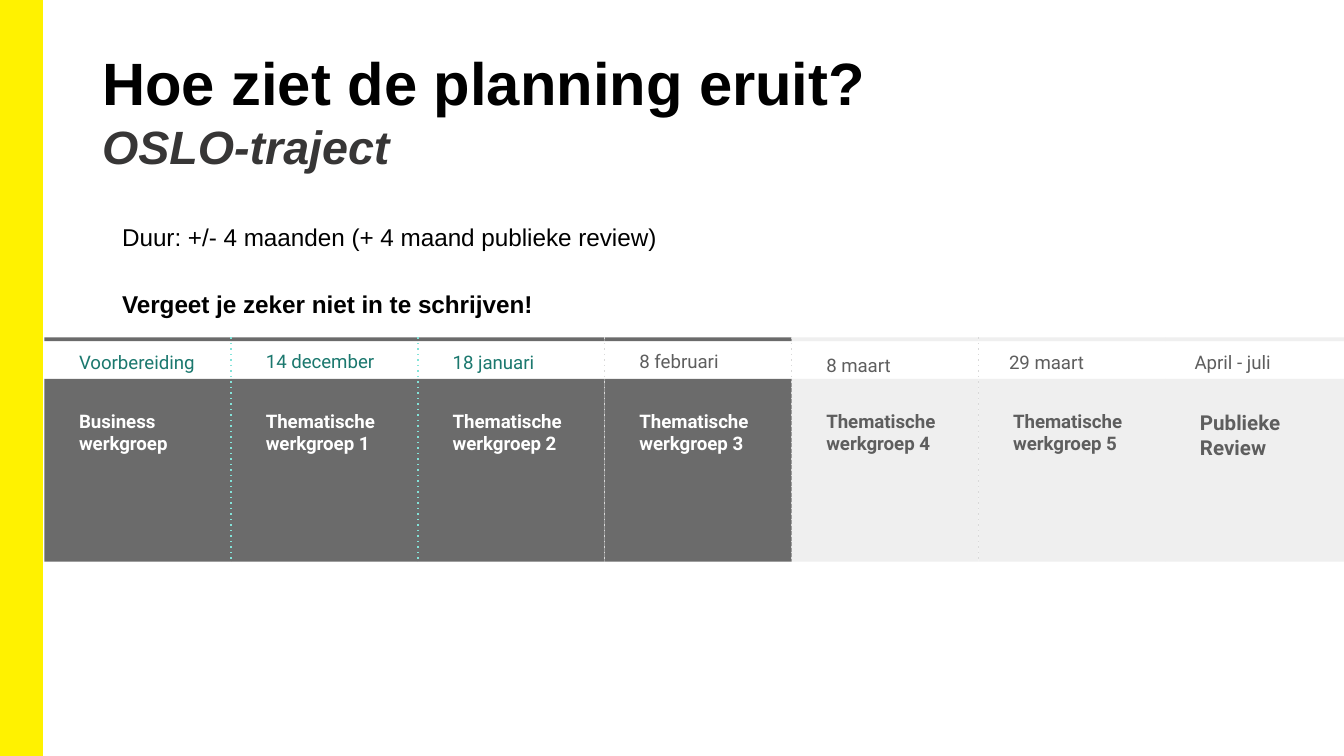
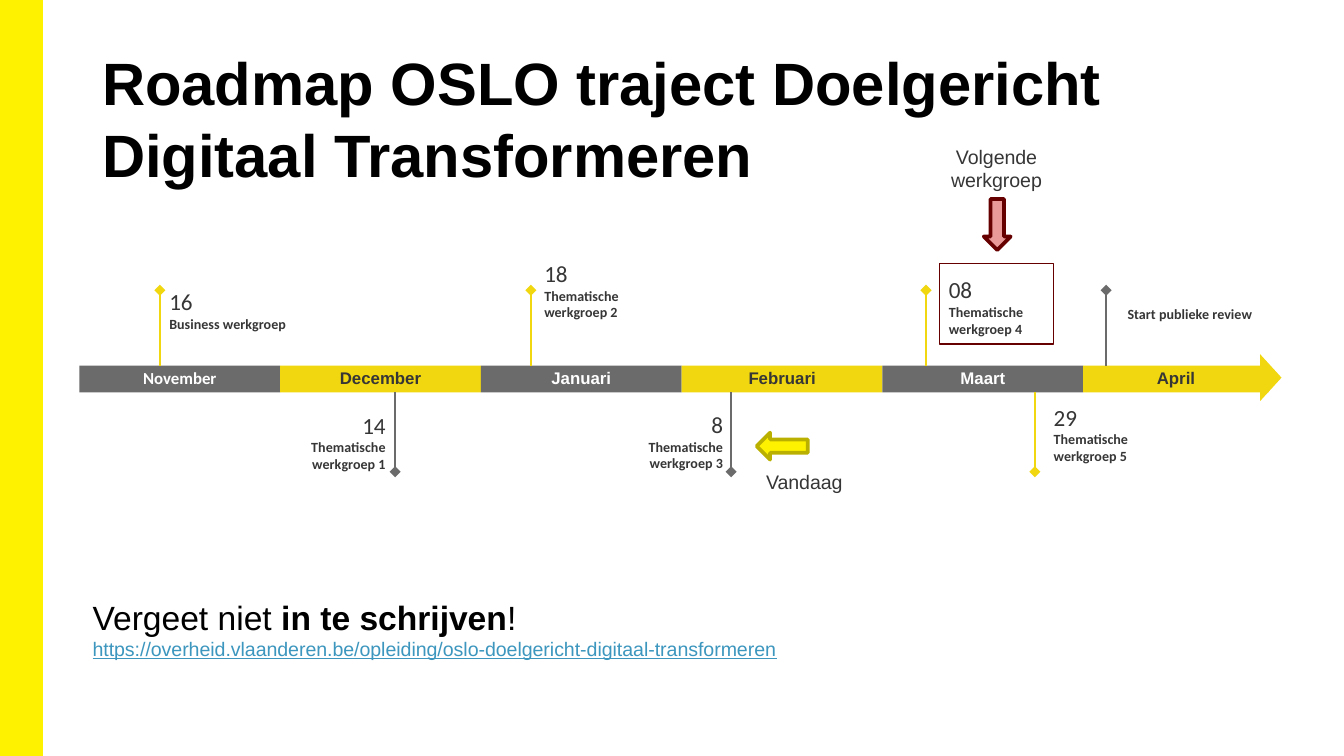
from dataclasses import dataclass
from typing import Any, NamedTuple, Optional

import pptx
import pptx.dml.color
import pptx.enum.shapes
import pptx.enum.text
import pptx.oxml.ns
import pptx.util
from lxml import etree

Inches = pptx.util.Inches
Color = pptx.dml.color.RGBColor
Shape = pptx.enum.shapes.MSO_SHAPE
Align = pptx.enum.text.PP_ALIGN
Anchor = pptx.enum.text.MSO_ANCHOR

BLACK = Color.from_string("000000")
WHITE = Color.from_string("FFFFFF")
INK = Color.from_string("373636")
TEXT_GREY = Color.from_string("5E5E5E")
DARK_GREY = Color.from_string("6B6B6B")
LIGHT_GREY = Color.from_string("EFEFEF")
DOT_GREY = Color.from_string("D9D9D9")
DOT_TEAL = Color.from_string("83E3D9")
TEAL = Color.from_string("1B786E")
YELLOW = Color.from_string("FFF200")
OLIVE = Color.from_string("BAB000")
GOLD = Color.from_string("F0D70F")
PINK = Color.from_string("EA9999")
DARK_RED = Color.from_string("660000")
LINK_BLUE = Color.from_string("3C96BE")

SLIDE_WIDTH = 10
SLIDE_HEIGHT = SLIDE_WIDTH * 9 / 16


class Box(NamedTuple):
    left: float
    top: float
    width: float
    height: float


@dataclass(frozen=True)
class Span:
    text: str
    size: float
    color: Color = INK
    font: str = "Arial"
    bold: bool = False
    italic: bool = False
    underline: bool = False


@dataclass(frozen=True)
class Para:
    spans: tuple[Span, ...]
    align: Align = Align.LEFT
    spacing: float = 1.0
    before: float = 0
    after: float = 0


@dataclass(frozen=True)
class Phase:
    date: str
    task: str
    done: bool
    date_color: Color = TEXT_GREY
    divider: Optional[Color] = None
    date_height: float = 0.15
    date_offset: float = 0.16
    task_size: float = 10


@dataclass(frozen=True)
class Month:
    name: str
    dark: bool
    font: str = "Arial"


@dataclass(frozen=True)
class Event:
    day: str
    label: str
    box: Box
    pin: float
    color: Color
    above: bool
    align: Align = Align.LEFT
    anchor: Anchor = Anchor.TOP


PHASES = (
    Phase("Voorbereiding", "Business werkgroep", True, TEAL, DOT_TEAL),
    Phase("14 december", "Thematische werkgroep 1", True, TEAL, DOT_TEAL, 0.13),
    Phase("18 januari", "Thematische werkgroep 2", True, TEAL, DOT_GREY),
    Phase("8 februari", "Thematische werkgroep 3", True, divider=DOT_GREY, date_height=0.13),
    Phase("8 maart", "Thematische werkgroep 4", False, divider=DOT_GREY, date_height=0.2),
    Phase("29 maart", "Thematische werkgroep 5", False, date_offset=0.13),
    Phase("April - juli", "Publieke Review", False, date_offset=0.12, task_size=11),
)
PHASE_LEFT, PHASE_WIDTH = 0.33, 1.39
PHASE_TOP, PHASE_BODY, PHASE_BOTTOM = 2.51, 2.82, 4.18

MONTHS = (
    Month("November", True, "Calibri"),
    Month("December", False),
    Month("Januari", True),
    Month("Februari", False),
    Month("Maart", True),
    Month("April", False),
)
BAR_LEFT, LAST_MONTH_LEFT, BAR_RIGHT = 0.59, 8.06, 9.44
BAR_TOP, BAR_HEIGHT = 2.72, 0.2
MONTH_WIDTH = (LAST_MONTH_LEFT - BAR_LEFT) / (len(MONTHS) - 1)
PIN_TOP, PIN_BOTTOM = 2.16, 3.51

EVENTS = (
    Event("16", "Business werkgroep", Box(1.26, 1.95, 1, 0.52), 1.19, GOLD, True,
          anchor=Anchor.BOTTOM),
    Event("14", "Thematische werkgroep 1", Box(1.87, 3.06, 1, 0.66), 2.94, DARK_GREY, False,
          Align.RIGHT),
    Event("18", "Thematische werkgroep 2", Box(4.05, 1.93, 1, 0.66), 3.95, GOLD, True),
    Event("8", "Thematische werkgroep 3", Box(4.43, 3.14, 0.95, 0.37), 5.44, DARK_GREY, False,
          Align.RIGHT, Anchor.BOTTOM),
    Event("08", "Thematische werkgroep 4", Box(7.06, 2.05, 1, 0.42), 6.89, GOLD, True),
    Event("29", "Thematische werkgroep 5", Box(7.84, 3, 1, 0.42), 7.7, GOLD, False),
    Event("", "Start publieke review", Box(8.39, 2.27, 1, 0.2), 8.23, DARK_GREY, True),
)


def lengths(box: Box) -> list[pptx.util.Length]:
    return [Inches(value) for value in box]


def write(frame: Any, paras: list[Para], insets: Box, anchor: Anchor = Anchor.TOP) -> None:
    """Fill a text frame; insets run left, top, right, bottom."""
    frame.word_wrap = True
    frame.auto_size = pptx.enum.text.MSO_AUTO_SIZE.NONE
    frame.vertical_anchor = anchor
    (frame.margin_left, frame.margin_top,
     frame.margin_right, frame.margin_bottom) = lengths(insets)
    for index, para in enumerate(paras):
        target = frame.add_paragraph() if index else frame.paragraphs[0]
        target.alignment = para.align
        target.line_spacing = para.spacing
        target.space_before = pptx.util.Pt(para.before)
        target.space_after = pptx.util.Pt(para.after)
        for span in para.spans:
            run = target.add_run()
            run.text = span.text
            run.font.name = span.font
            run.font.size = pptx.util.Pt(span.size)
            run.font.color.rgb = span.color
            run.font.bold = span.bold
            run.font.italic = span.italic
            run.font.underline = span.underline


def add_text(page: Any, box: Box, paras: list[Para], inset: float = 0,
             anchor: Anchor = Anchor.TOP) -> None:
    write(page.shapes.add_textbox(*lengths(box)).text_frame, paras, Box(*[inset] * 4), anchor)


def add_shape(page: Any, kind: Shape, box: Box, fill: Optional[Color],
              line: Optional[Color] = None, weight: float = 1, rotation: float = 0) -> Any:
    shape = page.shapes.add_shape(kind, *lengths(box))
    shape.shadow.inherit = False
    shape.rotation = rotation
    if fill is None:
        shape.fill.background()
    else:
        shape.fill.solid()
        shape.fill.fore_color.rgb = fill
    if line is None:
        shape.line.fill.background()
    else:
        shape.line.color.rgb = line
        shape.line.width = pptx.util.Pt(weight)
    return shape


def add_vertical(page: Any, x: float, top: float, bottom: float, color: Color,
                 weight: float, **ends: str) -> None:
    """Draw a vertical line; ends maps prstDash, headEnd or tailEnd to its preset."""
    connector = page.shapes.add_connector(
        pptx.enum.shapes.MSO_CONNECTOR.STRAIGHT, *lengths(Box(x, top, x, bottom)))
    connector.line.color.rgb = color
    connector.line.width = pptx.util.Pt(weight)
    properties = connector.element.spPr
    outline = properties.find(pptx.oxml.ns.qn("a:ln"))
    for tag, preset in ends.items():
        element = etree.SubElement(outline, pptx.oxml.ns.qn(f"a:{tag}"))
        element.set("val" if tag == "prstDash" else "type", preset)
    etree.SubElement(properties, pptx.oxml.ns.qn("a:effectLst"))


def add_page(deck: Any, title: str, subtitle: str = "") -> Any:
    page = deck.slides.add_slide(deck.slide_layouts.get_by_name("Title Only"))
    add_shape(page, Shape.RECTANGLE, Box(0, 0, 0.31, SLIDE_HEIGHT), YELLOW, YELLOW)
    holder = page.shapes.title
    holder.left, holder.top, holder.width, holder.height = lengths(Box(0.69, 0.3, 8.62, 0.81))
    paras = [Para((Span(title, 32, BLACK, bold=True),))]
    if subtitle:
        paras.append(Para((Span(subtitle, 25, bold=True, italic=True),)))
    write(holder.text_frame, paras, Box(0.07, 0.04, 0.07, 0.04))
    return page


def add_phase(page: Any, index: int, phase: Phase) -> None:
    left = PHASE_LEFT + index * PHASE_WIDTH
    right = min(left + PHASE_WIDTH, SLIDE_WIDTH)
    fill = DARK_GREY if phase.done else LIGHT_GREY
    for top, height in ((PHASE_BODY, PHASE_BOTTOM - PHASE_BODY), (PHASE_TOP, 0.03)):
        add_shape(page, Shape.RECTANGLE, Box(left, top, right - left, height), fill)
    if phase.divider:
        add_vertical(page, right, PHASE_TOP, PHASE_BOTTOM, phase.divider, 0.75, prstDash="dot")
    task = Span(phase.task, phase.task_size, WHITE if phase.done else TEXT_GREY, "Roboto", True)
    add_text(page, Box(left + 0.16, 2.95, 1.07, 0.4), [Para((task,))], 0.1)
    date = Span(phase.date, 10, phase.date_color, "Roboto")
    add_text(page, Box(left + phase.date_offset, PHASE_TOP, 1.07, phase.date_height),
             [Para((date,), spacing=1.15, after=16)], 0.1)


def add_month(page: Any, index: int, month: Month) -> None:
    left = BAR_LEFT + index * MONTH_WIDTH
    box = Box(left, BAR_TOP, min(MONTH_WIDTH, BAR_RIGHT - left), BAR_HEIGHT)
    bar = add_shape(page, Shape.RECTANGLE, box, DARK_GREY if month.dark else GOLD)
    name = Span(month.name, 9, WHITE if month.dark else INK, month.font, True)
    write(bar.text_frame, [Para((name,), Align.CENTER)],
          Box(0.04, 0.04, 0.04, 0.06), Anchor.MIDDLE)


def add_event(page: Any, event: Event) -> None:
    if event.above:
        add_vertical(page, event.pin, PIN_TOP, BAR_TOP, event.color, 1, headEnd="diamond")
    else:
        add_vertical(page, event.pin, BAR_TOP + BAR_HEIGHT, PIN_BOTTOM, event.color, 1,
                     tailEnd="diamond")
    spans = [Span(event.label, 7.5, font="Calibri", bold=True)]
    if event.day:
        spans.insert(0, Span(event.day, 12.4, font="Calibri"))
    add_text(page, event.box, [Para((span,), event.align) for span in spans],
             anchor=event.anchor)


def build_planning(deck: Any) -> None:
    page = add_page(deck, "Hoe ziet de planning eruit?", "OSLO-traject")
    duration = Span("Duur: +/- 4 maanden (+ 4 maand publieke review)", 13, BLACK)
    reminder = Span("Vergeet je zeker niet in te schrijven!", 13, BLACK, bold=True)
    add_text(page, Box(0.81, 1.52, 8.18, 0.92),
             [Para((duration,), spacing=1.15), Para((reminder,), spacing=1.15, before=18)], 0.1)
    # Right to left, so that each divider lies over its right neighbour
    for index, phase in reversed(list(enumerate(PHASES))):
        add_phase(page, index, phase)


def build_roadmap(deck: Any) -> None:
    page = add_page(deck, "Roadmap OSLO traject Doelgericht Digitaal Transformeren")
    add_shape(page, Shape.ISOSCELES_TRIANGLE, Box(9.28, 2.73, 0.35, 0.16), GOLD, rotation=90)
    for index, month in enumerate(MONTHS):
        add_month(page, index, month)
    for event in EVENTS:
        add_event(page, event)

    add_shape(page, Shape.DOWN_ARROW, Box(5.72, 3.13, 0.2, 0.38), YELLOW, OLIVE, 2, 90)
    add_shape(page, Shape.DOWN_ARROW, Box(7.32, 1.48, 0.2, 0.38), PINK, DARK_RED, 2)
    add_shape(page, Shape.RECTANGLE, Box(6.99, 1.96, 0.85, 0.6), None, DARK_RED, 0.75)
    for caption, left, top, anchor in (("Vandaag", 5.38, 3.5, Anchor.TOP),
                                       ("Volgende werkgroep", 6.81, 1.12, Anchor.MIDDLE)):
        add_text(page, Box(left, top, 1.21, 0.26),
                 [Para((Span(caption, 10.5),), Align.CENTER)], anchor=anchor)

    reminder = (Span("Vergeet niet ", 18, BLACK), Span("in te schrijven", 18, BLACK, bold=True),
                Span("!", 18, BLACK))
    address = Span(
        "https://overheid.vlaanderen.be/opleiding/oslo-doelgericht-digitaal-transformeren",
        10.5, LINK_BLUE, underline=True)
    add_text(page, Box(0.59, 4.34, 5.48, 0.68), [Para(reminder), Para((address,))], 0.1)


def main() -> None:
    deck = pptx.Presentation()
    deck.slide_width, deck.slide_height = Inches(SLIDE_WIDTH), Inches(SLIDE_HEIGHT)
    build_planning(deck)
    build_roadmap(deck)
    deck.save("out.pptx")


if __name__ == "__main__":
    main()
